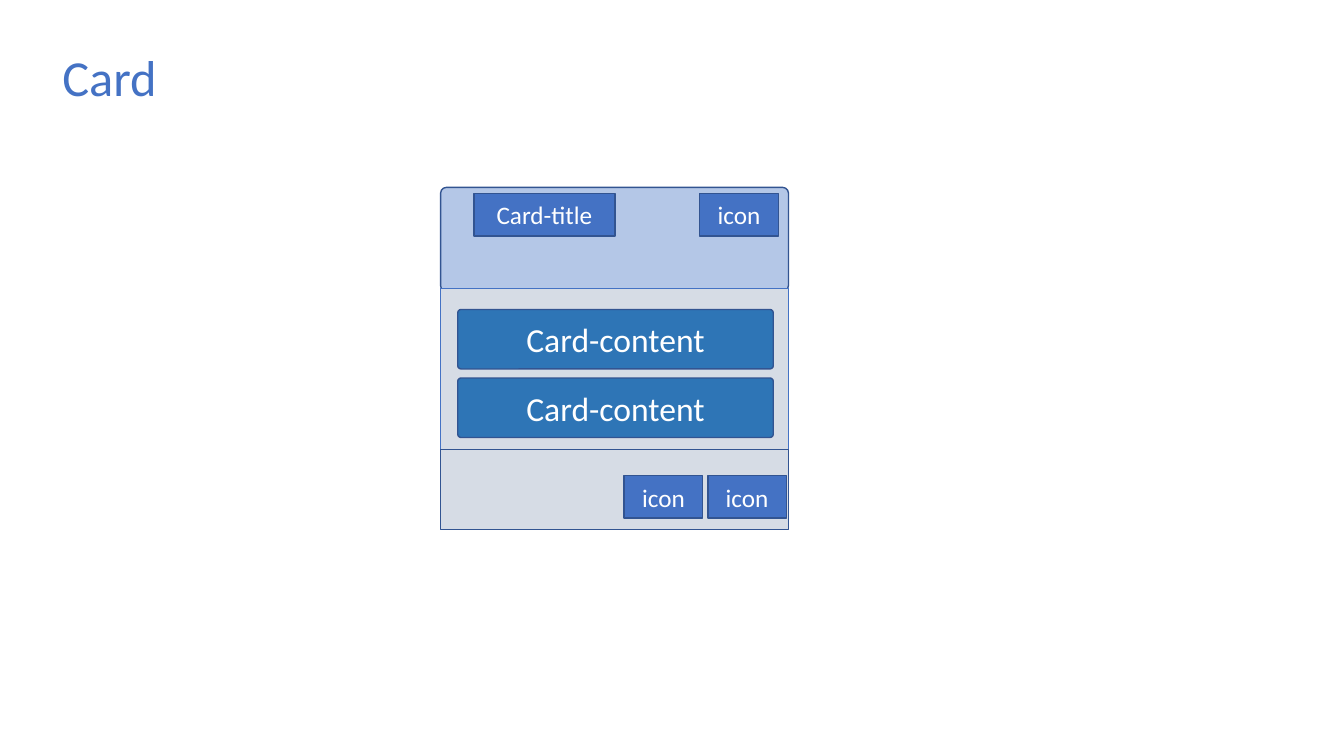
import dataclasses

import pptx
import pptx.dml.color
import pptx.enum.shapes
import pptx.enum.text
import pptx.slide
import pptx.text.text
import pptx.util

EMU_PER_PX = 9144  # 100 px to the inch
FONT = "Calibri"
COLORS = {
    "accent": "4472C4",
    "outline": "325491",
    "header": "B4C7E7",
    "panel": "D6DCE5",
    "content": "2E75B6",
    "label": "FFFFFF",
}

CARD_LEFT, CARD_WIDTH = 437, 345
CONTENT_TOP, CONTENT_STEP = 307, 68
HEADER_ROW, FOOTER_ROW = 192, 472
ICON_WIDTH, ICON_HEIGHT = 78, 42
CORNER = 0.055


@dataclasses.dataclass(frozen=True)
class Block:
    """One box of the card; corner is None for a plain rectangle."""

    left: int
    top: int
    width: int
    height: int
    fill: str
    line: str = "outline"
    corner: float | None = None
    label: str = ""
    size: int = 18


def icon(left: int, top: int) -> Block:
    return Block(left, top, ICON_WIDTH, ICON_HEIGHT, "accent", label="icon")


BLOCKS = [
    Block(CARD_LEFT, 186, CARD_WIDTH, 103, "header", corner=CORNER),
    Block(CARD_LEFT, 286, CARD_WIDTH, 160, "panel", line="accent"),
    Block(CARD_LEFT, 446, CARD_WIDTH, 79, "panel", corner=0),
    Block(470, HEADER_ROW, 140, ICON_HEIGHT, "accent", label="Card-title"),
    icon(694, HEADER_ROW),
    *(
        Block(454, CONTENT_TOP + row * CONTENT_STEP, 313, 59, "content",
              corner=CORNER, label="Card-content", size=24)
        for row in range(2)
    ),
    icon(619, FOOTER_ROW),
    icon(702, FOOTER_ROW),
]


def px(length: int) -> pptx.util.Emu:
    return pptx.util.Emu(length * EMU_PER_PX)


def color(name: str) -> pptx.dml.color.RGBColor:
    return pptx.dml.color.RGBColor.from_string(COLORS[name])


def write(frame: pptx.text.text.TextFrame, text: str, size: int, ink: str) -> None:
    frame.word_wrap = True
    frame.text = text
    font = frame.paragraphs[0].runs[0].font
    font.name = FONT
    font.size = pptx.util.Pt(size)
    font.color.rgb = color(ink)


def draw_block(slide: pptx.slide.Slide, block: Block) -> None:
    kinds = pptx.enum.shapes.MSO_SHAPE
    kind = kinds.RECTANGLE if block.corner is None else kinds.ROUNDED_RECTANGLE
    box = slide.shapes.add_shape(
        kind, px(block.left), px(block.top), px(block.width), px(block.height)
    )
    if block.corner is not None:
        box.adjustments[0] = block.corner
    box.shadow.inherit = False
    box.fill.solid()
    box.fill.fore_color.rgb = color(block.fill)
    box.line.color.rgb = color(block.line)
    box.line.width = pptx.util.Pt(1)
    if block.label:
        write(box.text_frame, block.label, block.size, "label")
        box.text_frame.vertical_anchor = pptx.enum.text.MSO_ANCHOR.MIDDLE
        box.text_frame.paragraphs[0].alignment = pptx.enum.text.PP_ALIGN.CENTER


def draw_heading(slide: pptx.slide.Slide) -> None:
    heading = slide.shapes.add_textbox(px(52), px(41), px(704), px(71))
    write(heading.text_frame, "Card", 36, "accent")
    heading.text_frame.auto_size = pptx.enum.text.MSO_AUTO_SIZE.SHAPE_TO_FIT_TEXT


def main() -> None:
    deck = pptx.Presentation()
    deck.slide_width, deck.slide_height = px(1333), px(750)
    slide = deck.slides.add_slide(deck.slide_layouts[6])
    for block in BLOCKS:
        draw_block(slide, block)
    draw_heading(slide)
    deck.save("out.pptx")


if __name__ == "__main__":
    main()
